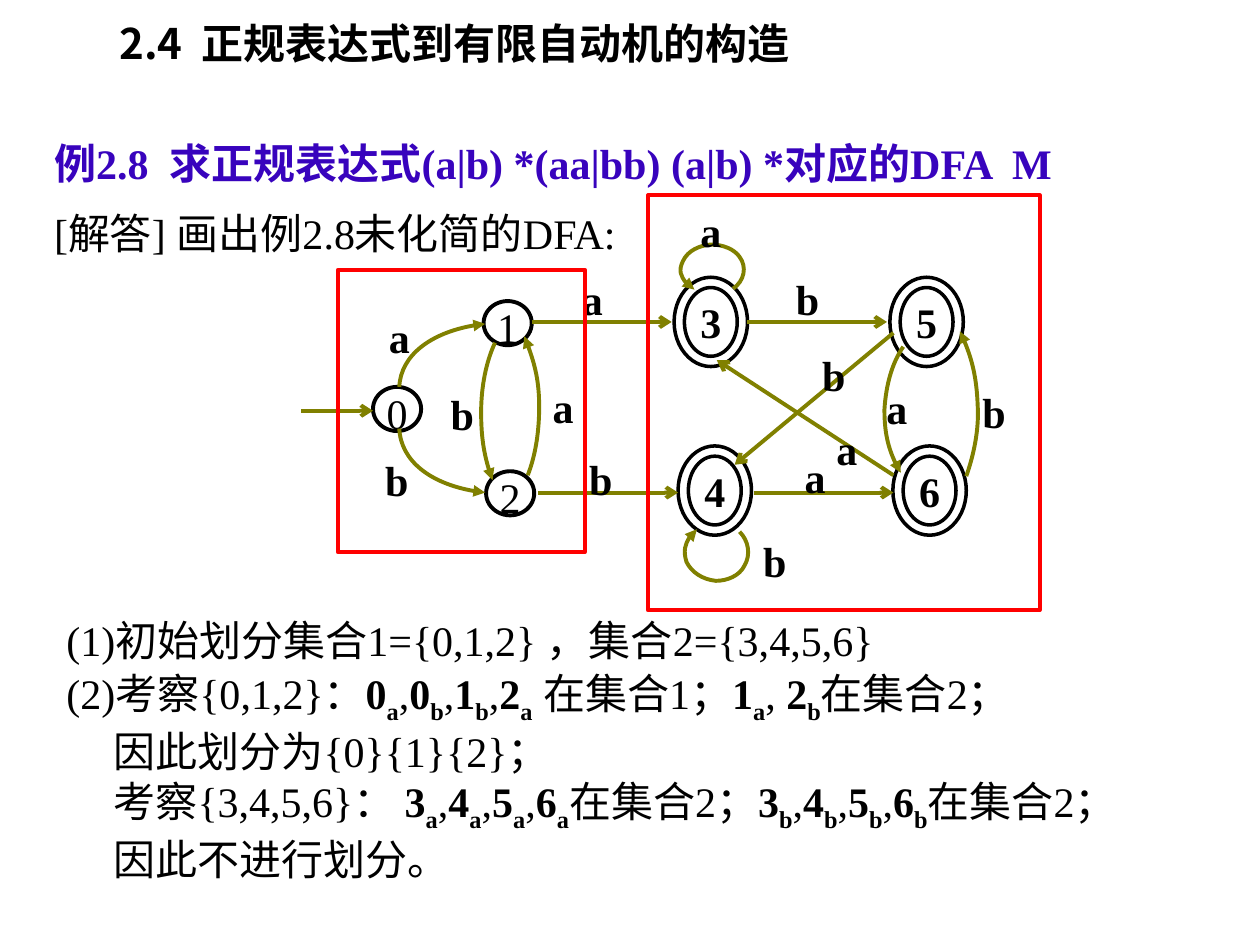
from lxml import etree
from pptx import Presentation
from pptx import util as u
from pptx.dml.color import RGBColor
from pptx.enum import shapes, text
from pptx.oxml import ns

BLACK = RGBColor(0x00, 0x00, 0x00)
VIOLET = RGBColor(0x38, 0x03, 0xBD)
OLIVE = RGBColor(0x80, 0x80, 0x00)
RED = RGBColor(0xFF, 0x00, 0x00)
SERIF, SANS = "Times New Roman", "Noto Sans CJK SC"
MIDDLE, TOP = text.MSO_ANCHOR.MIDDLE, text.MSO_ANCHOR.TOP

# Each paragraph alternates plain text and transitions such as 0a (state, input).
# (left, top, width, height), paragraphs, font, anchor, line spacing
PASSAGES = [
    ((2.16, 0, 18.01, 1.73), [["2.4  正规表达式到有限自动机的构造"]],
     {"name": SANS, "bold": True}, MIDDLE, 1),
    ((0.84, 1.75, 23.8, 2.03),
     [["例2.8  求正规表达式(a|b) *(aa|bb) (a|b) *对应的DFA  M"]],
     {"name": SERIF, "bold": True, "color": VIOLET}, MIDDLE, 2),
    ((0.84, 3.56, 23.95, 1.78), [["[解答] 画出例2.8未化简的DFA:"]],
     {"name": SERIF}, TOP, 1.5),
    ((1.09, 11.76, 23.93, 1.78), [["(1)初始划分集合1={0,1,2} ，集合2={3,4,5,6}"]],
     {"name": SERIF}, TOP, 1.5),
    ((1.09, 13.34, 23.93, 4.6), [
        ["(2)考察{0,1,2}：", "0a,0b,1b,2a", " 在集合1；", "1a, 2b", "在集合2；"],
        ["因此划分为{0}{1}{2}；"],
        ["考察{3,4,5,6}： ", "3a,4a,5a,6a", "在集合2；", "3b,4b,5b,6b", "在集合2；"],
        ["因此不进行划分。"],
    ], {"name": SERIF}, TOP, 1),
]
CONTINUATION_INDENT = 0.95

STATE_SIZE, FINAL_SIZE = (0.97, 0.89), (1.48, 1.8)
STATES = {"0": (7.52, 7.8), "1": (9.75, 6.07), "2": (9.8, 9.5)}
FINAL_STATES = {"3": (13.59, 5.59), "4": (13.67, 8.99),
                "5": (17.94, 5.59), "6": (18, 8.99)}

LABEL_SIZE = (0.86, 1.27)
LABELS = {
    "a": [(13.9, 4.01), (7.62, 6.15), (10.92, 7.57), (11.51, 5.38),
          (16, 8.97), (17.65, 7.59), (16.64, 8.41)],
    "b": [(7.57, 9.04), (8.89, 7.7), (11.68, 9.02), (15.85, 5.38),
          (15.19, 10.67), (19.61, 7.67), (16.38, 6.93)],
}

STRAIGHT_ARROWS = [
    (6.07, 8.28, 7.52, 8.28),
    (10.72, 6.49, 13.54, 6.49), (15.06, 6.49, 17.88, 6.49),
    (10.85, 9.93, 13.67, 9.93), (15.19, 9.93, 18.01, 9.93),
    (18.01, 6.71, 14.81, 9.37), (18.01, 9.58, 14.45, 7.26),
]
# Start point, then three Bézier points for every segment
CURVED_ARROWS = [
    [(8.05, 7.8), (8.08, 7.16), (8.79, 6.63), (9.78, 6.53)],
    [(8.05, 8.64), (8.08, 9.3), (8.79, 9.83), (9.78, 9.93)],
    [(9.98, 6.91), (9.8, 7.29), (9.7, 7.8), (9.7, 8.31),
     (9.7, 8.81), (9.78, 9.3), (9.93, 9.68)],
    [(10.64, 9.58), (10.8, 9.17), (10.87, 8.69), (10.87, 8.2),
     (10.87, 7.67), (10.74, 7.19), (10.57, 6.78)],
    [(14.78, 5.82), (15.01, 5.66), (15.06, 5.38), (14.91, 5.18),
     (14.81, 5.03), (14.58, 4.93), (14.33, 4.93),
     (14.1, 4.95), (13.87, 5.05), (13.77, 5.26),
     (13.67, 5.46), (13.77, 5.72), (14, 5.84)],
    [(14.91, 10.72), (15.09, 10.9), (15.14, 11.18), (15.01, 11.4),
     (14.91, 11.61), (14.66, 11.71), (14.43, 11.71),
     (14.15, 11.68), (13.94, 11.53), (13.84, 11.33),
     (13.77, 11.1), (13.84, 10.82), (14.05, 10.67)],
    [(18.21, 6.99), (17.98, 7.32), (17.86, 7.77), (17.83, 8.26),
     (17.83, 8.71), (17.93, 9.17), (18.16, 9.53)],
    [(19.48, 9.6), (19.63, 9.17), (19.74, 8.66), (19.71, 8.18),
     (19.69, 7.62), (19.56, 7.09), (19.35, 6.68)],
]
PARTITION_FRAMES = [(6.81, 5.44, 4.98, 5.69), (13.06, 3.94, 7.9, 8.36)]


def cm(values):
    return [u.Cm(value) for value in values]


def add_span(para, words, name=SERIF, bold=False, color=BLACK, subscript=False):
    span = para.add_run()
    span.text = words
    for key, value in {"name": name, "bold": bold, "size": u.Pt(24)}.items():
        setattr(span.font, key, value)
    span.font.color.rgb = color
    props = span.font._element
    etree.SubElement(props, ns.qn("a:ea"), typeface=SANS)
    if subscript:
        props.set("baseline", "-25000")


def set_frame(shape, **formats):
    for key, value in {"word_wrap": True, **formats}.items():
        setattr(shape.text_frame, key, value)
    return shape.text_frame


def add_passage(page, place, paragraphs, font, anchor, spacing):
    frame = set_frame(page.shapes.add_textbox(*cm(place)), vertical_anchor=anchor)
    for number, parts in enumerate(paragraphs):
        para = frame.add_paragraph() if number else frame.paragraphs[0]
        para.line_spacing = spacing
        if number:
            para._p.get_or_add_pPr().set("marL", str(u.Cm(CONTINUATION_INDENT)))
        for index, part in enumerate(parts):
            if index % 2 == 0:
                add_span(para, part, **font)
                continue
            for sign in part:
                add_span(para, sign, bold=sign.isalnum(), subscript=sign.isalpha())


def add_centred(shape, words, bold, **formats):
    frame = set_frame(shape, margin_left=0, margin_right=0, **formats)
    frame.paragraphs[0].alignment = text.PP_ALIGN.CENTER
    add_span(frame.paragraphs[0], words, bold=bold)


def add_outline(page, kind, place, color, width=2.25):
    shape = page.shapes.add_shape(kind, *cm(place))
    shape.shadow.inherit = False
    shape.fill.background()
    shape.line.color.rgb = color
    shape.line.width = u.Pt(width)
    return shape


def style_arrow(arrow, head):
    arrow.line.color.rgb = OLIVE
    arrow.line.width = u.Pt(2.25)
    etree.SubElement(arrow.line._get_or_add_ln(), ns.qn("a:tailEnd"), type=head)


def add_curved_arrow(page, points):
    """Build an open freeform and turn each three line steps into a Bézier."""
    start, *steps = [cm(point) for point in points]
    builder = page.shapes.build_freeform(*start)
    builder.add_line_segments(steps, close=False)
    arrow = builder.convert_to_shape()
    arrow.shadow.inherit = False
    arrow.fill.background()
    lines = list(arrow._element.iter(ns.qn("a:lnTo")))
    outline = lines[0].getparent()
    for first in range(0, len(lines), 3):
        bezier = etree.SubElement(outline, ns.qn("a:cubicBezTo"))
        for line in lines[first:first + 3]:
            bezier.append(line[0])
            outline.remove(line)
    style_arrow(arrow, "triangle")


def main():
    deck = Presentation()
    deck.slide_width, deck.slide_height = cm((25.4, 19.05))
    page = deck.slides.add_slide(deck.slide_layouts[6])

    for passage in PASSAGES:
        add_passage(page, *passage)
    for name, corner in STATES.items():
        state = add_outline(page, shapes.MSO_SHAPE.OVAL, corner + STATE_SIZE, BLACK)
        add_centred(state, name, False, word_wrap=False, vertical_anchor=MIDDLE,
                    margin_top=u.Cm(0.15), margin_bottom=0)
    for name, corner in FINAL_STATES.items():
        state = add_outline(page, shapes.MSO_SHAPE.DONUT, corner + FINAL_SIZE, BLACK, 2)
        state.adjustments[0] = 0.14
        add_centred(state, name, True, vertical_anchor=MIDDLE)
    for ends in STRAIGHT_ARROWS:
        arrow = page.shapes.add_connector(shapes.MSO_CONNECTOR.STRAIGHT, *cm(ends))
        style_arrow(arrow, "arrow")
        etree.SubElement(arrow._element.spPr, ns.qn("a:effectLst"))
    for points in CURVED_ARROWS:
        add_curved_arrow(page, points)
    for letter, corners in LABELS.items():
        for corner in corners:
            label = page.shapes.add_textbox(*cm(corner + LABEL_SIZE))
            add_centred(label, letter, True)
    for place in PARTITION_FRAMES:
        add_outline(page, shapes.MSO_SHAPE.RECTANGLE, place, RED)

    deck.save("out.pptx")


if __name__ == "__main__":
    main()
